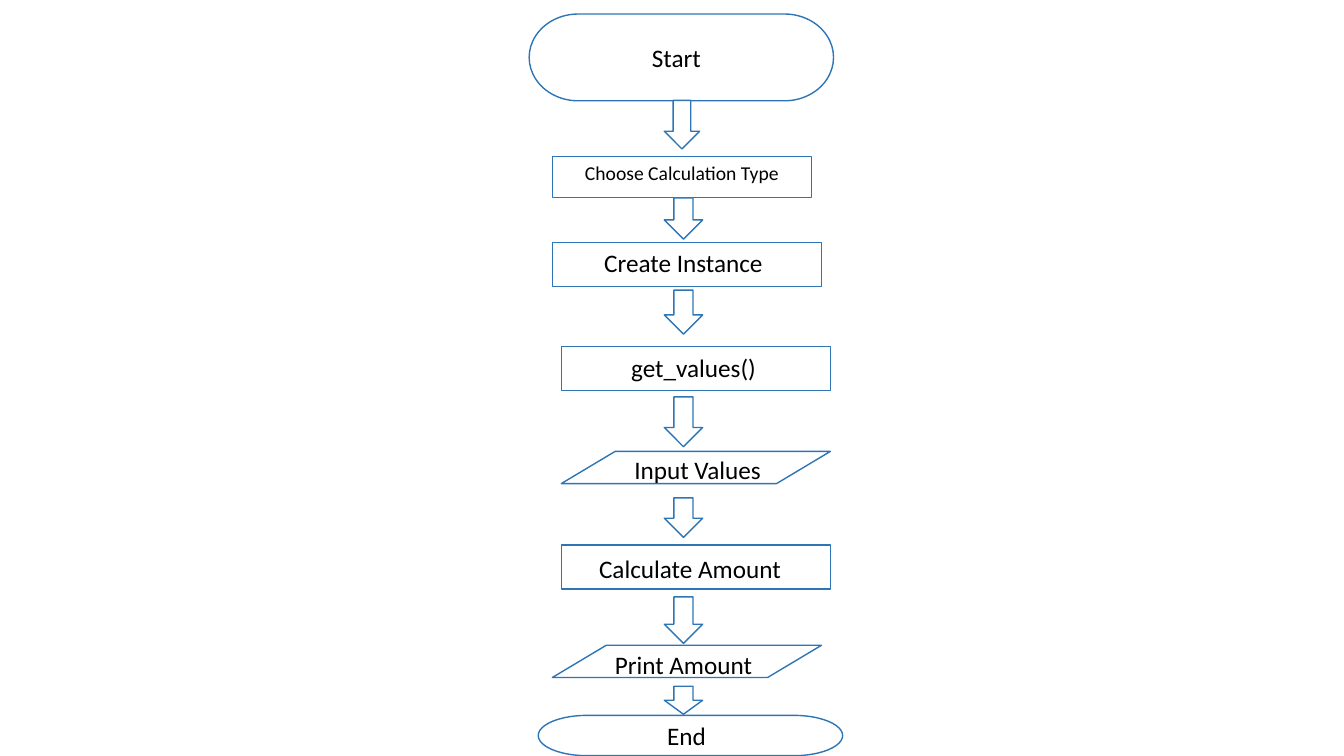
import dataclasses

import pptx
import pptx.dml.color
import pptx.enum.shapes
import pptx.enum.text
import pptx.util
from pptx.shapes.autoshape import Shape
from pptx.slide import Slide

Kind = pptx.enum.shapes.MSO_SHAPE

OUTLINE = "2E75B6"
PAPER = "FFFFFF"
INK = "000000"
ARROW_LEFT = 474.5
ARROW_WIDTH = 27.4
STEP_WIDTH = 192.2
TERMINATOR_WIDTH = 217.4
LABEL_WIDTH = 149.8


@dataclasses.dataclass(frozen=True)
class Step:
    kind: Kind
    left: float
    top: float
    width: float
    height: float
    label: str
    label_left: float
    label_top: float
    label_width: float = LABEL_WIDTH
    font_size: int = 18


@dataclasses.dataclass(frozen=True)
class Arrow:
    top: float
    height: float
    width: float = ARROW_WIDTH


STEPS = [
    Step(Kind.FLOWCHART_TERMINATOR, 378, 10, TERMINATOR_WIDTH, 62, "Start", 415.4, 26.6, 135.4),
    Step(Kind.FLOWCHART_PROCESS, 394.6, 111.6, 185, 29.5,
         "Choose Calculation Type", 394.6, 111.6, 185, 14),
    Step(Kind.RECTANGLE, 394.6, 173.2, STEP_WIDTH, 31.3, "Create Instance", 413.3, 172.8),
    Step(Kind.RECTANGLE, 401, 247.6, STEP_WIDTH, 31.3, "get_values()", 420.5, 248.4),
    Step(Kind.FLOWCHART_DATA, 401, 322.4, STEP_WIDTH, 23, "Input Values", 423.4, 321.1),
    Step(Kind.RECTANGLE, 401, 389.4, STEP_WIDTH, 31.3, "Calculate Amount", 413.3, 391.9, 159.1),
    Step(Kind.FLOWCHART_DATA, 394.6, 460.9, STEP_WIDTH, 23, "Print Amount", 413.3, 460.3),
    Step(Kind.FLOWCHART_TERMINATOR, 384.5, 511, TERMINATOR_WIDTH, 28.8, "End", 415.4, 511.2),
]

ARROWS = [
    Arrow(71.7, 34.7, 25.2),
    Arrow(141.4, 29.4),
    Arrow(207.3, 31.4),
    Arrow(283.5, 35.6),
    Arrow(355.6, 28.3),
    Arrow(426.4, 33.2),
    Arrow(490.2, 20),
]


def rgb(hex_color: str) -> pptx.dml.color.RGBColor:
    return pptx.dml.color.RGBColor.from_string(hex_color)


def points(*lengths: float) -> list[pptx.util.Length]:
    return [pptx.util.Pt(length) for length in lengths]


def add_outlined(slide: Slide, kind: Kind, left: float, top: float,
                 width: float, height: float) -> Shape:
    outlined = slide.shapes.add_shape(kind, *points(left, top, width, height))
    outlined.shadow.inherit = False
    outlined.fill.solid()
    outlined.fill.fore_color.rgb = rgb(PAPER)
    outlined.line.color.rgb = rgb(OUTLINE)
    outlined.line.width = pptx.util.Pt(1)
    return outlined


def add_label(slide: Slide, step: Step) -> None:
    height = step.font_size * 1.2 + 7.2
    label = slide.shapes.add_textbox(
        *points(step.label_left, step.label_top, step.label_width, height))
    frame = label.text_frame
    frame.word_wrap = True
    frame.auto_size = pptx.enum.text.MSO_AUTO_SIZE.SHAPE_TO_FIT_TEXT
    paragraph = frame.paragraphs[0]
    paragraph.text = step.label
    paragraph.alignment = pptx.enum.text.PP_ALIGN.CENTER
    paragraph.font.name = "Calibri"
    paragraph.font.size = pptx.util.Pt(step.font_size)
    paragraph.font.color.rgb = rgb(INK)


def main() -> None:
    presentation = pptx.Presentation()
    presentation.slide_width, presentation.slide_height = points(960, 540)
    slide = presentation.slides.add_slide(presentation.slide_layouts[6])
    for step in STEPS:
        add_outlined(slide, step.kind, step.left, step.top, step.width, step.height)
        add_label(slide, step)
    for arrow in ARROWS:
        add_outlined(slide, Kind.DOWN_ARROW, ARROW_LEFT, arrow.top, arrow.width, arrow.height)
    presentation.save("out.pptx")


if __name__ == "__main__":
    main()
